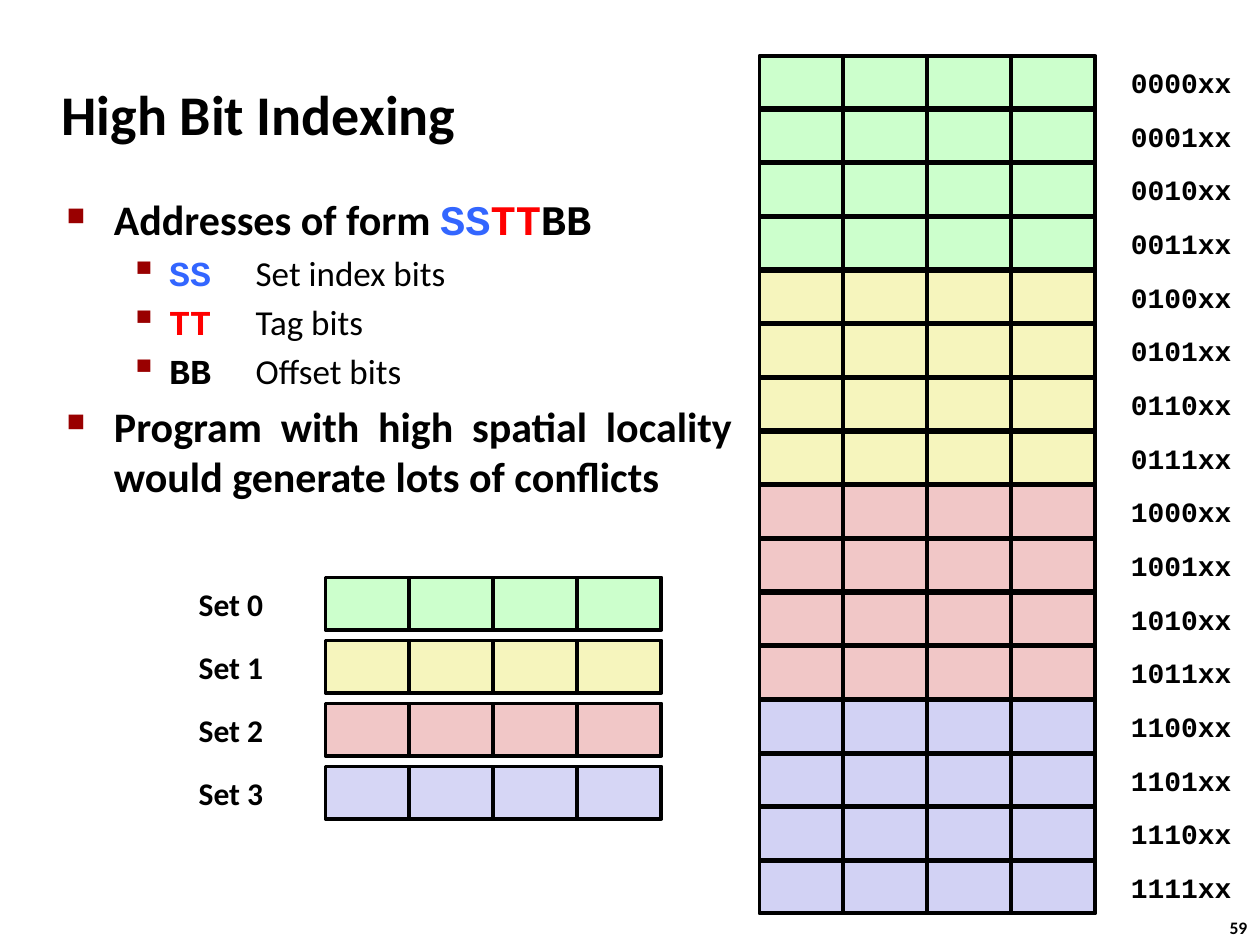
"""Build the High Bit Indexing slide: address format, cache sets and memory blocks."""
import pptx
import pptx.dml.color
import pptx.enum.shapes
import pptx.enum.text
import pptx.oxml
import pptx.oxml.ns
import pptx.util

Pt = pptx.util.Pt
RGB = pptx.dml.color.RGBColor.from_string
ALIGN = pptx.enum.text.PP_ALIGN
ANCHOR = pptx.enum.text.MSO_ANCHOR

THEME = {
    "sans": "Calibri", "mono": "Courier New",
    "ink": "000000", "set": "3366FF", "tag": "FF0000", "bullet": "990000",
    "title": 32, "main": 24, "sub": 20, "label": 18, "address": 16, "number": 10,
    "set_fills": ["CCFFCC", "F6F5BD", "F1C7C7", "D6D6F5"],
    "memory_fills": ["CCFFCC", "F6F5BD", "F1C7C7", "D2D2F4"],
}

LEVELS = [
    {"size": "main", "char": "■", "scale": 60, "margin": 27, "indent": -27, "before": 5},
    {"size": "sub", "char": "▪", "scale": 110, "margin": 58.5, "indent": -22.5, "before": 4},
]
# level, alignment, runs of (text, font, colour, bold)
BODY = [
    (0, ALIGN.LEFT, [("Addresses of form ", "sans", "ink", True), ("SS", "mono", "set", True),
                     ("TT", "mono", "tag", True), ("BB", "mono", "ink", True)]),
    (1, ALIGN.LEFT, [("SS", "mono", "set", True), ("\tSet index bits", "sans", "ink", False)]),
    (1, ALIGN.LEFT, [("TT", "mono", "tag", True), ("\tTag bits", "sans", "ink", False)]),
    (1, ALIGN.LEFT, [("BB", "mono", "ink", True), ("\tOffset bits", "sans", "ink", False)]),
    (0, ALIGN.JUSTIFY, [("Program with high spatial locality would generate lots of conflicts",
                         "sans", "ink", True)]),
]
SETS = [f"Set {i}" for i in range(4)]
ADDRESSES = [f"{i:04b}xx" for i in range(16)]

CELL_W, CELL_H, CELLS = 48, 30, 4
STACKS = [
    {"labels": SETS, "fills": THEME["set_fills"], "left": 186, "top": 330, "step": 36,
     "label_left": 96, "label_width": 72, "font": "sans", "size": "label"},
    {"labels": ADDRESSES, "fills": THEME["memory_fills"], "left": 434, "top": 32, "step": 30.67,
     "label_left": 636, "label_width": 78, "font": "mono", "size": "address"},
]


def add_run(p, text, size, font="sans", color="ink", bold=True):
    r = p.add_run()
    r.text = text
    style = {"name": THEME[font], "size": Pt(THEME[size]), "bold": bold}
    for key, value in style.items():
        setattr(r.font, key, value)
    r.font.color.rgb = RGB(THEME[color])


def add_box(s, box, anchor=ANCHOR.TOP, wrap=True):
    tf = s.shapes.add_textbox(*map(Pt, box)).text_frame
    for key, value in {"word_wrap": wrap, "vertical_anchor": anchor}.items():
        setattr(tf, key, value)
    return tf


def add_bullet(p, level):
    pPr = p._p.get_or_add_pPr()
    pPr.set("marL", str(Pt(level["margin"])))
    pPr.set("indent", str(Pt(level["indent"])))
    ns = pptx.oxml.ns.nsdecls("a")
    for xml in (
        f'<a:buClr {ns}><a:srgbClr val="{THEME["bullet"]}"/></a:buClr>',
        f'<a:buSzPct {ns} val="{level["scale"] * 1000}"/>',
        f'<a:buChar {ns} char="{level["char"]}"/>',
    ):
        pPr.append(pptx.oxml.parse_xml(xml))


def add_body(s):
    tf = add_box(s, (31, 107.3, 394.5, 85))
    for i, (depth, align, runs) in enumerate(BODY):
        level = LEVELS[depth]
        p = tf.add_paragraph() if i else tf.paragraphs[0]
        add_bullet(p, level)
        p.level, p.alignment = depth, align
        p.space_before = Pt(level["before"] if i else 0)
        for text, font, color, bold in runs:
            add_run(p, text, level["size"], font, color, bold)


def add_row(s, left, top, fill):
    group = s.shapes.add_group_shape()
    for i in range(CELLS):
        sp = group.shapes.add_shape(pptx.enum.shapes.MSO_SHAPE.RECTANGLE,
                                    Pt(left + i * CELL_W), Pt(top), Pt(CELL_W), Pt(CELL_H))
        sp.shadow.inherit = False
        sp.fill.solid()
        sp.fill.fore_color.rgb = RGB(fill)
        sp.line.color.rgb = RGB(THEME["ink"])
        sp.line.width = Pt(2.25)


def add_stack(s, stack):
    rows_per_fill = len(stack["labels"]) // len(stack["fills"])
    for i, label in enumerate(stack["labels"]):
        top = stack["top"] + i * stack["step"]
        add_row(s, stack["left"], top, stack["fills"][i // rows_per_fill])
        p = add_box(s, (stack["label_left"], top, stack["label_width"], CELL_H),
                    ANCHOR.MIDDLE).paragraphs[0]
        p.alignment = ALIGN.CENTER
        add_run(p, label, stack["size"], stack["font"])


def main():
    prs = pptx.Presentation()
    prs.slide_width, prs.slide_height = Pt(720), Pt(540)
    s = prs.slides.add_slide(prs.slide_layouts[6])
    add_run(add_box(s, (695.5, 520.5, 27, 19.5), wrap=False).paragraphs[0], "59", "number")
    add_run(add_box(s, (28, 34.5, 392, 60), ANCHOR.MIDDLE).paragraphs[0],
            "High Bit Indexing", "title")
    add_body(s)
    for stack in STACKS:
        add_stack(s, stack)
    prs.save("out.pptx")


if __name__ == "__main__":
    main()
